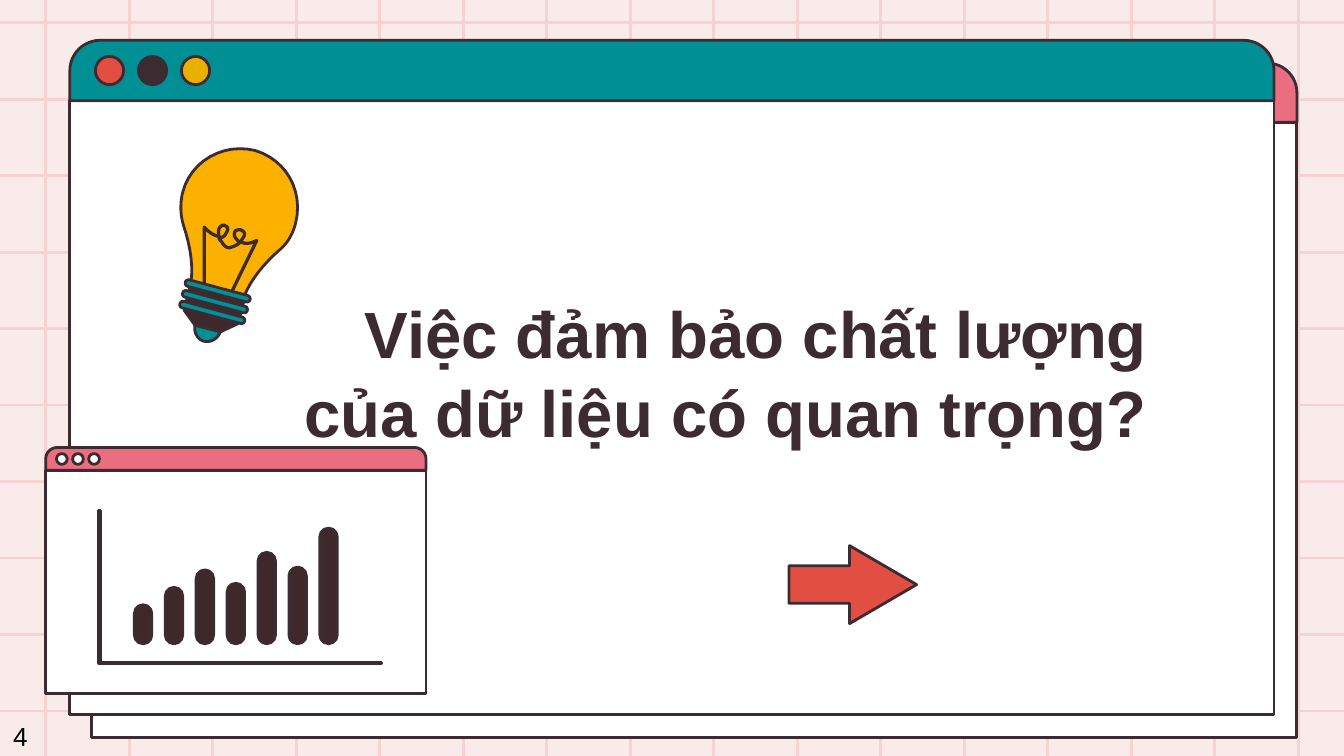
from dataclasses import dataclass

from lxml import etree
from pptx import Presentation
from pptx.dml.color import RGBColor
from pptx.enum.shapes import MSO_CONNECTOR, MSO_SHAPE
from pptx.enum.text import MSO_ANCHOR, PP_ALIGN
from pptx.oxml.ns import qn
from pptx.util import Inches, Pt

OVAL = MSO_SHAPE.OVAL
RECT = MSO_SHAPE.RECTANGLE
ROUND = MSO_SHAPE.ROUNDED_RECTANGLE
TAB = MSO_SHAPE.ROUND_2_SAME_RECTANGLE
ARROW = MSO_SHAPE.RIGHT_ARROW
STRAIGHT = MSO_CONNECTOR.STRAIGHT
MIDDLE, TOP = MSO_ANCHOR.MIDDLE, MSO_ANCHOR.TOP
LEFT, RIGHT = PP_ALIGN.LEFT, PP_ALIGN.RIGHT

INK, DARK, WHITE = "3C2C31", "3E282C", "FFFFFF"
PINK, TEAL, RED, GOLD = "EB6E80", "008F95", "E24E42", "E9B000"
PAPER, GRID, AMBER, CAP = "FAEBEB", "F8D2D2", "FCB100", "009096"


@dataclass
class Window:
    x: float
    y: float
    w: float
    bar: float      # height of the title bar
    body: float     # height of the pane below it
    fill: str
    dots: tuple     # button colours
    size: float     # button diameter
    inset: float    # left edge to first button
    step: float


@dataclass
class Outline:
    start: tuple
    steps: tuple    # pairs are lines, sextets are Bézier curves
    fill: str | None = None
    width: float = 1.5
    close: bool = True


WINDOWS = (
    Window(0.68, 0.47, 8.97, 0.44, 4.58, PINK, (RED, INK, GOLD), 0.21, 0.2, 0.32),
    Window(0.52, 0.3, 8.96, 0.45, 4.57, TEAL, (RED, INK, GOLD), 0.21, 0.19, 0.32),
)
PANEL = Window(0.34, 3.33, 2.83, 0.17, 1.66, PINK, (WHITE,) * 3, 0.08, 0.08, 0.12)
BARS = (0.29, 0.42, 0.55, 0.45, 0.68, 0.57, 0.86)

AXES = Outline((2.84, 4.94), ((0.73, 4.94), (0.73, 3.8), (0.75, 3.8),
                              (0.75, 4.93), (2.84, 4.93)), DARK)
GLASS = Outline((2.2, 1.66), (
    (2.26, 1.42, 2.13, 1.19, 1.9, 1.12), (1.66, 1.06, 1.42, 1.2, 1.36, 1.43),
    (1.34, 1.51, 1.34, 1.6, 1.37, 1.69), (1.39, 1.75, 1.46, 1.98, 1.41, 2.15),
    (1.8, 2.26), (1.85, 2.05, 2.08, 1.86, 2.08, 1.86),
    (2.14, 1.81, 2.18, 1.74, 2.2, 1.66)), AMBER)
SCREW = Outline((1.66, 2.17), (
    (1.42, 2.11), (1.37, 2.31), (1.45, 2.42), (1.64, 2.47),
    (1.77, 2.41), (1.82, 2.22)), DARK)
WIRE = Outline((1.52, 2.12), (
    (1.52, 1.69), (1.53, 1.7, 1.57, 1.75, 1.63, 1.76),
    (1.62, 1.71, 1.63, 1.69, 1.65, 1.68), (1.66, 1.67, 1.68, 1.68, 1.69, 1.69),
    (1.7, 1.71, 1.69, 1.72, 1.68, 1.74), (1.67, 1.76, 1.65, 1.77, 1.63, 1.77),
    (1.63, 1.78, 1.64, 1.79, 1.65, 1.8), (1.67, 1.84, 1.7, 1.85, 1.72, 1.84),
    (1.75, 1.83, 1.77, 1.82, 1.79, 1.8), (1.77, 1.8, 1.77, 1.79, 1.76, 1.78),
    (1.74, 1.76, 1.74, 1.74, 1.75, 1.72), (1.76, 1.71, 1.78, 1.71, 1.79, 1.71),
    (1.81, 1.72, 1.82, 1.73, 1.82, 1.74), (1.82, 1.76, 1.8, 1.78, 1.79, 1.8),
    (1.83, 1.82, 1.87, 1.81, 1.91, 1.79), (1.72, 2.18)), width=1.75, close=False)
TIP = Outline((1.45, 2.42), (
    (1.44, 2.47, 1.47, 2.53, 1.52, 2.54),
    (1.57, 2.55, 1.62, 2.52, 1.64, 2.47)), CAP)


def color(code: str) -> RGBColor:
    return RGBColor.from_string(code)


def paint(shape, fill: str | None, width: float = 1.5) -> None:
    shape.shadow.inherit = False
    if fill:
        shape.fill.solid()
        shape.fill.fore_color.rgb = color(fill)
    else:
        shape.fill.background()
    shape.line.color.rgb = color(INK)
    shape.line.width = Pt(width)


def block(slide, kind, x: float, y: float, w: float, h: float, fill: str,
          adjust: tuple = (), turn: float = 0) -> None:
    shape = slide.shapes.add_shape(kind, Inches(x), Inches(y), Inches(w), Inches(h))
    for i, value in enumerate(adjust):
        shape.adjustments[i] = value
    shape.rotation = turn
    paint(shape, fill)


def rule(slide, x1: float, y1: float, x2: float, y2: float) -> None:
    line = slide.shapes.add_connector(STRAIGHT, Inches(x1), Inches(y1),
                                      Inches(x2), Inches(y2))
    line.line.color.rgb = color(GRID)
    line.line.width = Pt(1.5)
    etree.SubElement(line._element.spPr, qn("a:effectLst"))


def curve(a: tuple, step: tuple, count: int = 12) -> list:
    b, c, d = step[:2], step[2:4], step[4:]
    points = []
    for i in range(1, count + 1):
        t = i / count
        u = 1 - t
        points.append(tuple(
            u**3 * p + 3 * u * u * t * q + 3 * u * t * t * r + t**3 * s
            for p, q, r, s in zip(a, b, c, d)))
    return points


def trace(slide, item: Outline) -> None:
    points = [item.start]
    for step in item.steps:
        points += [step] if len(step) == 2 else curve(points[-1], step)
    spots = [(Inches(x), Inches(y)) for x, y in points]
    pen = slide.shapes.build_freeform(*spots[0], scale=1.0)
    pen.add_line_segments(spots[1:], close=item.close)
    paint(pen.convert_to_shape(), item.fill, item.width)


def window(slide, win: Window) -> None:
    block(slide, RECT, win.x, win.y + win.bar, win.w, win.body, WHITE)
    block(slide, TAB, win.x, win.y, win.w, win.bar, win.fill, (0.5, 0))
    top = win.y + (win.bar - win.size) / 2
    for i, fill in enumerate(win.dots):
        block(slide, OVAL, win.x + win.inset + i * win.step, top,
              win.size, win.size, fill)


def write(shape, text: str, *, size: float, ink: str, bold: bool = False,
          align=LEFT, anchor=TOP, inset: float = 0.1, lead: float | None = None) -> None:
    frame = shape.text_frame
    frame.word_wrap = True
    frame.vertical_anchor = anchor
    frame.margin_left = frame.margin_right = Inches(0.1)
    frame.margin_top = frame.margin_bottom = Inches(inset)
    para = frame.paragraphs[0]
    para.alignment = align
    if lead:
        para.line_spacing = Pt(lead)
    run = para.add_run()
    run.text = text
    run.font.name = "Arial"
    run.font.size = Pt(size)
    run.font.bold = bold
    run.font.color.rgb = color(ink)


def place(shape, x: float, y: float, w: float, h: float) -> None:
    shape.left, shape.top = Inches(x), Inches(y)
    shape.width, shape.height = Inches(w), Inches(h)


def main() -> None:
    deck = Presentation()
    deck.slide_width, deck.slide_height = Inches(10), Inches(10 * 9 / 16)
    slide = deck.slides.add_slide(deck.slide_layouts[5])
    title = slide.shapes.title

    # Background grid
    slide.background.fill.solid()
    slide.background.fill.fore_color.rgb = color(PAPER)
    for i in range(16):
        x = 0.34 + i * (9.66 - 0.34) / 15
        rule(slide, x, 5.82, x, -0.36)
    for i in range(10):
        y = 0.17 + i * (5.29 - 0.17) / 9
        rule(slide, -0.22, y, 10.22, y)

    # Stacked windows, with the title in front
    for win in WINDOWS:
        window(slide, win)
    slide.shapes._spTree.append(title._element)
    place(title, 2.07, 1.4, 6.57, 2.73)
    write(title, "Việc đảm bảo chất lượng của dữ liệu có quan trọng?", size=35,
          ink=INK, bold=True, align=RIGHT, anchor=MIDDLE, lead=42.3)

    # Small window with drawn bars
    window(slide, PANEL)
    trace(slide, AXES)
    for i, high in enumerate(BARS):
        block(slide, ROUND, 1.0 + i * 0.23, 4.79 - high, 0.13, high, DARK, (0.5,))

    # Light bulb
    for item in (GLASS, SCREW, WIRE):
        trace(slide, item)
    for i in range(3):
        block(slide, ROUND, 1.37 - i * 0.02, 2.14 + i * 0.08, 0.5, 0.05,
              CAP, (0.5,), 15)
    trace(slide, TIP)

    # Arrow and page number
    block(slide, ARROW, 5.87, 4.06, 0.95, 0.58, RED, (0.48, 0.86))
    page = slide.shapes.add_textbox(0, Inches(5.31), Inches(0.31), Inches(0.34))
    write(page, "4", size=14, ink="000000", inset=0.05)

    deck.save("out.pptx")


if __name__ == "__main__":
    main()
